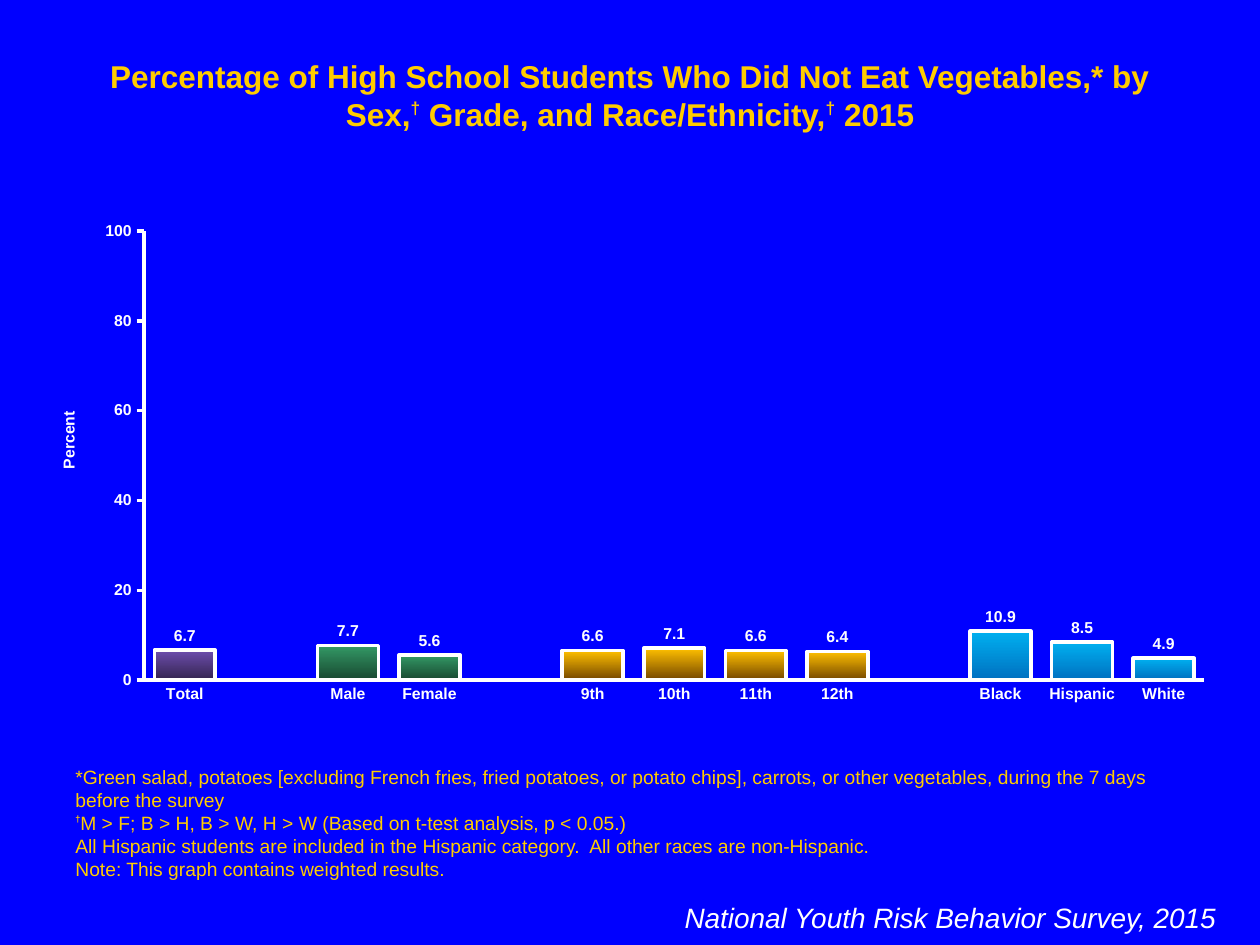
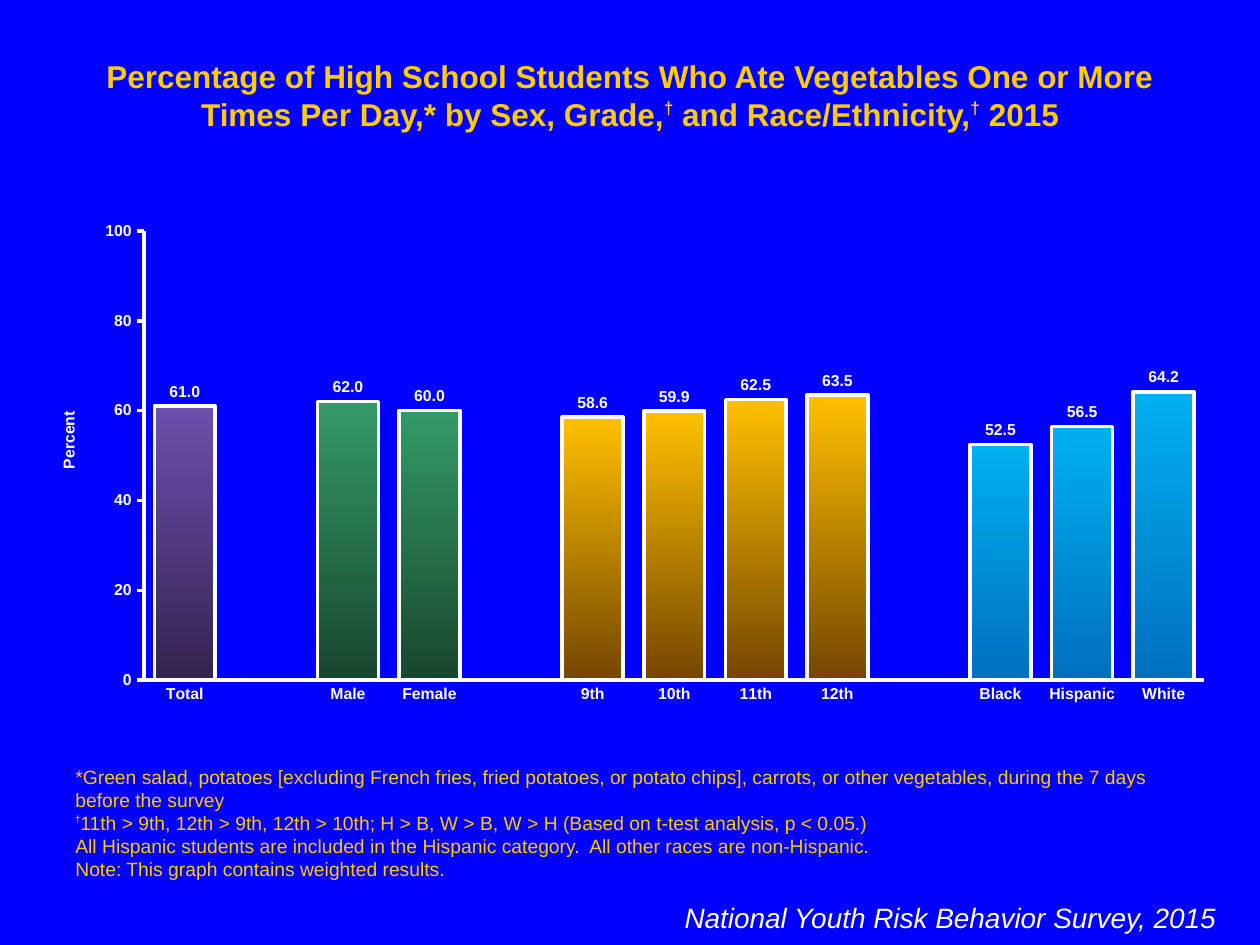
import dataclasses

import lxml.etree
import pptx
import pptx.chart.data
import pptx.dml.color
import pptx.enum.chart
import pptx.enum.text
import pptx.oxml.ns
import pptx.util

Inches = pptx.util.Inches
Pt = pptx.util.Pt
Align = pptx.enum.text.PP_ALIGN
Anchor = pptx.enum.text.MSO_ANCHOR


@dataclasses.dataclass(frozen=True)
class Theme:
    font: str = "Arial"
    background: str = "0000FF"
    gold: str = "FFCC00"
    white: str = "FFFFFF"
    series: str = "26CA59"
    total_bar: tuple = ("6E4EAE", "33244F")
    sex_bar: tuple = ("339966", "18472F")
    grade_bar: tuple = ("FFC000", "744600")
    ethnicity_bar: tuple = ("00B0F0", "0070C0")
    title_size: int = 18
    title_mark_size: int = 17
    note_size: int = 11
    note_mark_size: int = 9
    survey_size: int = 16
    chart_size: int = 9
    line_width: int = 2


THEME = Theme()
DAGGER = "†"
TITLE_BOX = (0.5, 0.4, 9, 0.7)
CHART_BOX = (0.25, 1.69, 9.5, 3.98)
NOTES_BOX = (0.5, 6.03, 9, 1.01)
SURVEY_BOX = (4.25, 7.1, 5.5, 0.37)
SURVEY_NAME = "National Youth Risk Behavior Survey, 2015"

BAR_GROUPS = [
    (["Total"], THEME.total_bar),
    (["Male", "Female"], THEME.sex_bar),
    (["9th", "10th", "11th", "12th"], THEME.grade_bar),
    (["Black", "Hispanic", "White"], THEME.ethnicity_bar),
]

VEGETABLES_NOTE = (
    "*Green salad, potatoes [excluding French fries, fried potatoes, or potato chips], "
    "carrots, or other vegetables, during the 7 days before the survey"
)
COMMON_NOTES = [
    "All Hispanic students are included in the Hispanic category.  All other races are non-Hispanic.",
    "Note: This graph contains weighted results.",
]

SLIDES = [
    {
        "title": "Percentage of High School Students Who Did Not Eat Vegetables,* by Sex,† "
                 "Grade, and Race/Ethnicity,† 2015",
        "differences": "†M > F; B > H, B > W, H > W (Based on t-test analysis, p < 0.05.)",
        "percents": [[6.7], [7.7, 5.6], [6.6, 7.1, 6.6, 6.4], [10.9, 8.5, 4.9]],
    },
    {
        "title": "Percentage of High School Students Who Ate Vegetables One or More Times Per Day,* "
                 "by Sex, Grade,† and Race/Ethnicity,† 2015",
        "differences": "†11th > 9th, 12th > 9th, 12th > 10th; H > B, W > B, W > H "
                       "(Based on t-test analysis, p < 0.05.)",
        "percents": [[61.0], [62.0, 60.0], [58.6, 59.9, 62.5, 63.5], [52.5, 56.5, 64.2]],
    },
]


def rgb(color):
    return pptx.dml.color.RGBColor.from_string(color)


def style_font(font, size, color, bold=False, italic=False):
    font.name = THEME.font
    font.size = Pt(size)
    font.bold = bold
    font.italic = italic
    font.color.rgb = rgb(color)


def prepare_frame(frame, anchor):
    frame.word_wrap = True
    frame.auto_size = pptx.enum.text.MSO_AUTO_SIZE.NONE
    frame.vertical_anchor = anchor
    frame.margin_left = frame.margin_right = Inches(0.1)
    frame.margin_top = frame.margin_bottom = Inches(0.05)


def add_run(paragraph, text, size, color, bold=False, italic=False, baseline=None):
    run = paragraph.add_run()
    run.text = text
    style_font(run.font, size, color, bold, italic)
    if baseline:
        run._r.get_or_add_rPr().set("baseline", str(baseline * 1000))


def add_marked_text(paragraph, text, size, mark_size, baseline, bold):
    for index, part in enumerate(text.split(DAGGER)):
        if index:
            add_run(paragraph, DAGGER, mark_size, THEME.gold, bold=True, baseline=baseline)
        if part:
            add_run(paragraph, part, size, THEME.gold, bold=bold)


def add_title(slide, box, text):
    title = slide.shapes.title
    title.left, title.top, title.width, title.height = map(Inches, box)
    prepare_frame(title.text_frame, Anchor.TOP)
    paragraph = title.text_frame.paragraphs[0]
    paragraph.alignment = Align.CENTER
    add_marked_text(paragraph, text, THEME.title_size, THEME.title_mark_size, 40, True)


def add_notes(slide, box, notes):
    frame = slide.shapes.add_textbox(*map(Inches, box)).text_frame
    prepare_frame(frame, Anchor.BOTTOM)
    for index, note in enumerate(notes):
        paragraph = frame.add_paragraph() if index else frame.paragraphs[0]
        add_marked_text(paragraph, note, THEME.note_size, THEME.note_mark_size, 50, False)


def add_survey_name(slide, box):
    frame = slide.shapes.add_textbox(*map(Inches, box)).text_frame
    prepare_frame(frame, Anchor.TOP)
    paragraph = frame.paragraphs[0]
    paragraph.alignment = Align.RIGHT
    add_run(paragraph, SURVEY_NAME, THEME.survey_size, THEME.white, italic=True)


def set_layout(element, position, **settings):
    qn = pptx.oxml.ns.qn
    for existing in element.findall(qn("c:layout")):
        element.remove(existing)
    layout = lxml.etree.Element(qn("c:layout"))
    manual = lxml.etree.SubElement(layout, qn("c:manualLayout"))
    for name, value in settings.items():
        lxml.etree.SubElement(manual, qn("c:" + name)).set("val", str(value))
    element.insert(position, layout)


def style_line(line):
    line.color.rgb = rgb(THEME.white)
    line.width = Pt(THEME.line_width)


def style_axes(chart):
    tick_mark = pptx.enum.chart.XL_TICK_MARK
    for axis in (chart.category_axis, chart.value_axis):
        axis.has_major_gridlines = False
        axis.major_tick_mark = axis.minor_tick_mark = tick_mark.NONE
        style_font(axis.tick_labels.font, THEME.chart_size, THEME.white, bold=True)
        style_line(axis.format.line)

    value_axis = chart.value_axis
    value_axis.minimum_scale = 0
    value_axis.maximum_scale = 100
    value_axis.major_unit = 20
    value_axis.major_tick_mark = tick_mark.OUTSIDE
    axis_title = value_axis.axis_title
    paragraph = axis_title.text_frame.paragraphs[0]
    add_run(paragraph, "Percent", THEME.chart_size, THEME.white, bold=True)
    body = axis_title.element.xpath(".//a:bodyPr")[0]
    body.set("rot", "-5400000")
    body.set("vert", "horz")
    set_layout(axis_title.element, 1, xMode="edge", yMode="edge", x=0.02, y=0.39)


def style_bars(plot):
    plot.gap_width = 34
    plot.overlap = 100
    plot.vary_by_categories = False
    series = plot.series[0]
    series.format.fill.solid()
    series.format.fill.fore_color.rgb = rgb(THEME.series)
    style_line(series.format.line)

    position = 0
    for names, gradient in BAR_GROUPS:
        for index in range(position, position + len(names)):
            bar = series.points[index].format
            bar.fill.gradient()
            bar.fill.gradient_angle = 270
            for stop, color in zip(bar.fill.gradient_stops, gradient):
                stop.color.rgb = rgb(color)
            style_line(bar.line)
        position += len(names) + 1

    labels = series.data_labels
    labels.show_value = True
    labels.number_format = "#,##0.0"
    labels.number_format_is_linked = False
    labels.position = pptx.enum.chart.XL_LABEL_POSITION.OUTSIDE_END
    style_font(labels.font, THEME.chart_size, THEME.white, bold=True)


def join_groups(groups, gap):
    joined = list(groups[0])
    for group in groups[1:]:
        joined += [gap, *group]
    return joined


def add_percent_chart(slide, box, percents):
    data = pptx.chart.data.CategoryChartData()
    data.categories = join_groups([names for names, _ in BAR_GROUPS], "")
    data.add_series("Series 1", join_groups(percents, None))
    chart = slide.shapes.add_chart(
        pptx.enum.chart.XL_CHART_TYPE.COLUMN_CLUSTERED, *map(Inches, box), data
    ).chart
    chart.has_legend = False
    chart.has_title = False
    style_font(chart.font, THEME.title_size, THEME.white)
    style_axes(chart)
    style_bars(chart.plots[0])
    plot_area = chart.element.xpath(".//c:plotArea")[0]
    set_layout(plot_area, 0, layoutTarget="inner", xMode="edge", yMode="edge",
               x=0.094, y=0.036, w=0.886, h=0.896)


def add_survey_slide(presentation, content):
    slide = presentation.slides.add_slide(presentation.slide_layouts.get_by_name("Title Only"))
    add_title(slide, TITLE_BOX, content["title"])
    add_notes(slide, NOTES_BOX, [VEGETABLES_NOTE, content["differences"], *COMMON_NOTES])
    add_survey_name(slide, SURVEY_BOX)
    add_percent_chart(slide, CHART_BOX, content["percents"])


def main():
    presentation = pptx.Presentation()
    presentation.slide_width = Inches(10)
    presentation.slide_height = Inches(7.5)
    background = presentation.slide_master.background.fill
    background.solid()
    background.fore_color.rgb = rgb(THEME.background)
    for content in SLIDES:
        add_survey_slide(presentation, content)
    presentation.save("out.pptx")


if __name__ == "__main__":
    main()
